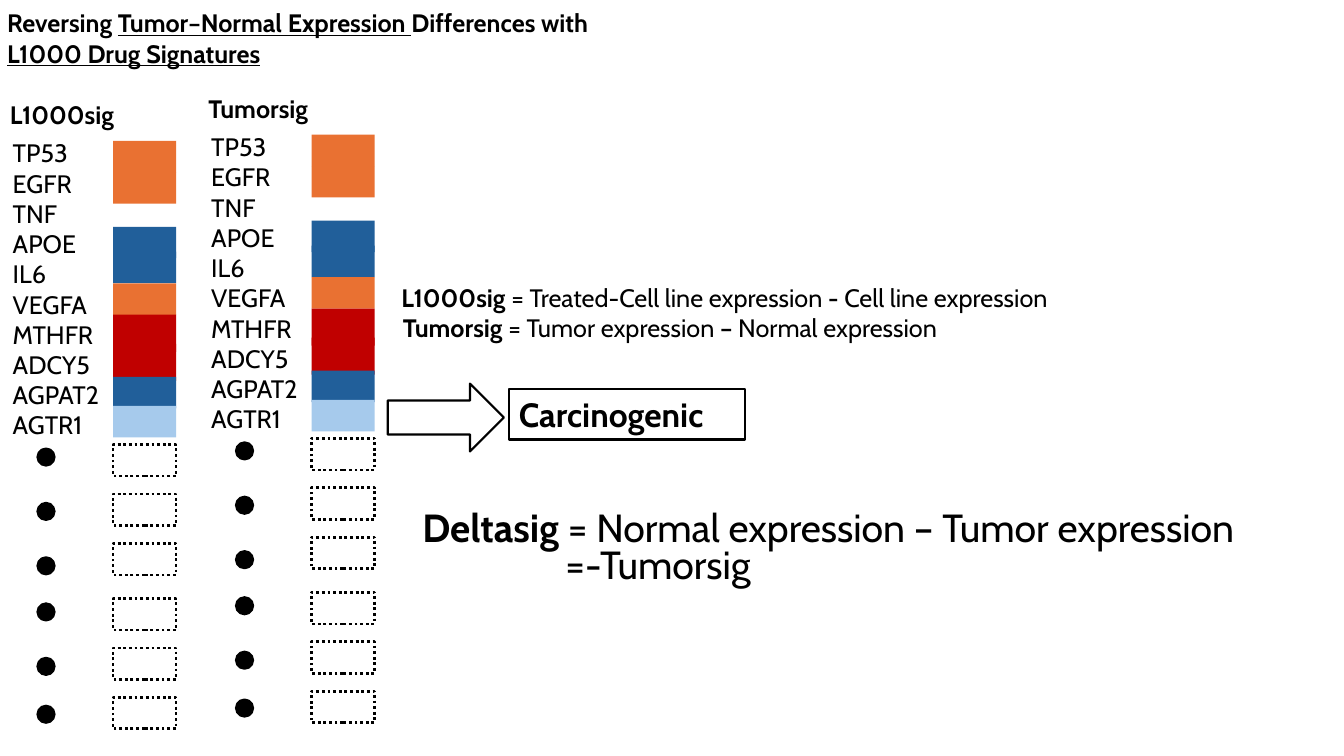
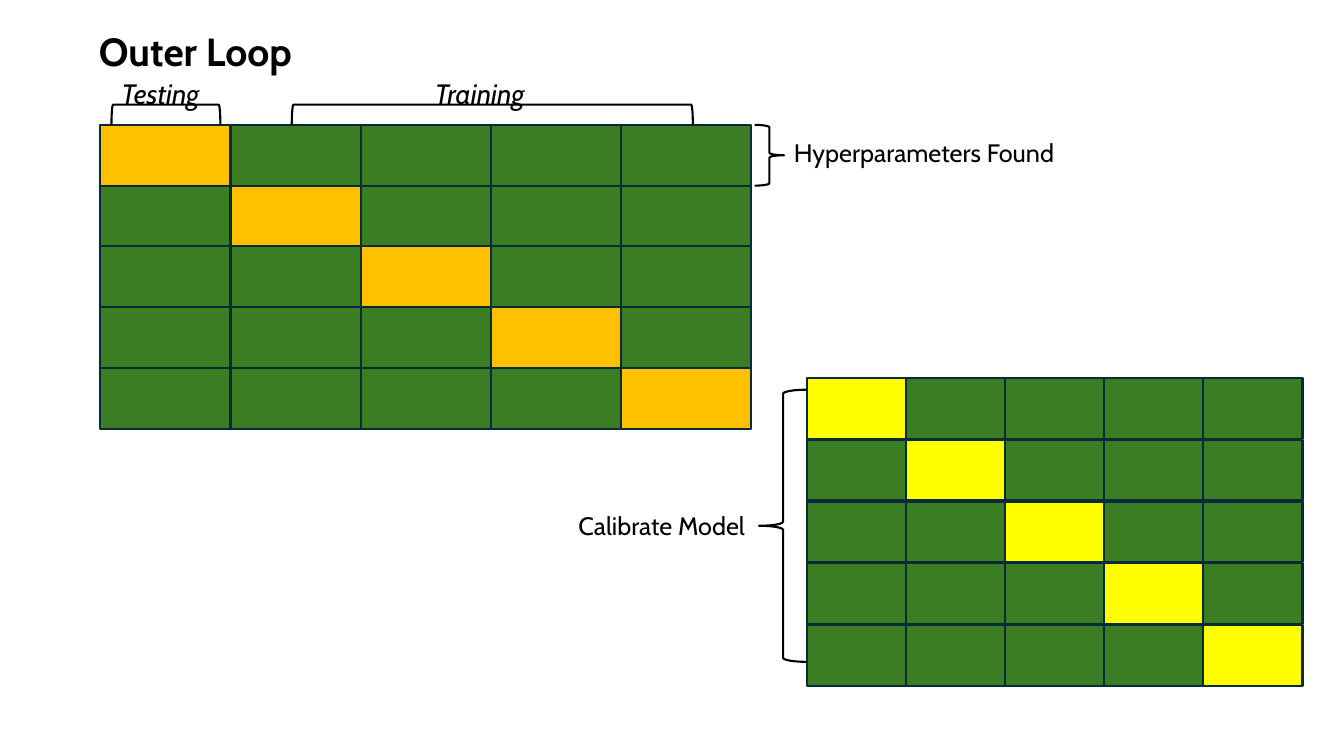
import pptx
import pptx.dml.color
import pptx.enum.dml
import pptx.enum.shapes
import pptx.enum.text
import pptx.util

Pt = pptx.util.Pt
SHAPE = pptx.enum.shapes.MSO_SHAPE
ALIGN = pptx.enum.text.PP_ALIGN
FONT = "Cabin"
COLORS = {
    "ink": "000000",
    "paper": "FFFFFF",
    "orange": "E97132",
    "blue": "215F9A",
    "red": "C00000",
    "sky": "A6CAEC",
    "gold": "FFC000",
    "yellow": "FFFF00",
    "green": "3B7D23",
    "navy": "092A39",
}
GENES = ["TP53", "EGFR", "TNF", "APOE", "IL6", "VEGFA", "MTHFR", "ADCY5", "AGPAT2", "AGTR1"]
SWATCHES = [
    (33, 22.5, "orange"),
    (55.4, 22.5, "orange"),
    (94.4, 22.5, "blue"),
    (112.2, 22.5, "blue"),
    (134.8, 22.5, "orange"),
    (157.2, 26.5, "red"),
    (178, 26.5, "red"),
    (201.6, 22.5, "blue"),
    (222.4, 22.5, "sky"),
]
DOT_TOPS = [252.8, 291.6, 330.5, 363.4, 402.3, 436.5]
BLANK_TOPS = [250, 285.3, 320.6, 360, 395.3, 430.6]


def color(name):
    """Return the named colour."""
    return pptx.dml.color.RGBColor.from_string(COLORS[name])


def write(frame, paragraphs, size, align=ALIGN.LEFT):
    """Fill a text frame with paragraphs of (text, style letters) runs."""
    frame.word_wrap = True
    for index, runs in enumerate(paragraphs):
        paragraph = frame.add_paragraph() if index else frame.paragraphs[0]
        paragraph.alignment = align
        for text, style in runs:
            run = paragraph.add_run()
            run.text = text
            font = run.font
            font.name, font.size = FONT, Pt(size)
            font.bold, font.italic, font.underline = (letter in style for letter in "biu")
            font.color.rgb = color("ink")


def add_text(slide, box, paragraphs, size=18, align=ALIGN.LEFT):
    """Place a text box."""
    textbox = slide.shapes.add_textbox(*map(Pt, box))
    write(textbox.text_frame, paragraphs, size, align)


def add_shape(slide, kind, box, fill=None, line=None, width=1.5):
    """Place a preset shape without shadow."""
    shape = slide.shapes.add_shape(kind, *map(Pt, box))
    shape.shadow.inherit = False
    if fill:
        shape.fill.solid()
        shape.fill.fore_color.rgb = color(fill)
    else:
        shape.fill.background()
    if line:
        shape.line.color.rgb = color(line)
        shape.line.width = Pt(width)
    else:
        shape.line.fill.background()
    return shape


def add_signature(slide, left, top, name):
    """Draw a gene signature column: heading, genes, swatches and continuation marks."""
    add_text(slide, (left, top, 480, 29), [[(name, "b")]])
    add_text(slide, (left + 2, top + 27.2, 115, 225), [[(gene, "")] for gene in GENES])
    for offset, height, fill in SWATCHES:
        add_shape(slide, SHAPE.RECTANGLE, (left + 80.8, top + offset, 45, height), fill)
    for offset in DOT_TOPS:
        add_shape(slide, SHAPE.OVAL, (left + 26.8, top + offset, 12.2, 12.2), "ink", "ink")
    for offset in BLANK_TOPS:
        blank = add_shape(slide, SHAPE.RECTANGLE, (left + 80.8, top + offset, 45, 22.5), "paper", "ink", 2)
        blank.line.dash_style = pptx.enum.dml.MSO_LINE.ROUND_DOT


def add_outcome(slide, left, top):
    """Draw the arrow and the outcome box it points at."""
    add_shape(slide, SHAPE.RIGHT_ARROW, (left, top, 83, 48.5), "paper", "ink")
    outcome = add_shape(slide, SHAPE.RECTANGLE, (left + 86.5, top + 3.8, 168.5, 36.2), "paper", "ink")
    write(outcome.text_frame, [[("Carcinogenic", "b")]], 24)


def add_formulas(slide, left, top):
    """Write the definitions of the signatures."""
    add_text(slide, (left, top, 515, 29), [[
        ("L1000sig", "b"), (" = Treated-Cell line expression ", ""),
        ("-", "b"), (" Cell line expression", "")]], align=ALIGN.CENTER)
    add_text(slide, (left + 14, top + 21.2, 409, 29), [[
        ("Tumorsig", "b"), (" = Tumor expression ", ""),
        ("–", "b"), (" Normal expression", "")]], align=ALIGN.CENTER)
    add_text(slide, (left + 22.5, top + 157.7, 618, 41), [[
        ("Deltasig", "b"), (" = Normal expression – Tumor expression", "")]], 28, ALIGN.CENTER)
    add_text(slide, (left - 99, top + 184.3, 618, 41), [[("=-Tumorsig", "")]], 28, ALIGN.CENTER)


def add_folds(slide, left, top, cell, pitch, held_out, count=5):
    """Draw a square grid of folds with the held-out fold on the diagonal."""
    for row in range(count):
        for column in range(count):
            box = (left + column * pitch[0], top + row * pitch[1], *cell)
            add_shape(slide, SHAPE.RECTANGLE, box, held_out if row == column else "green", "navy")


def add_top_bracket(slide, left, top, width, depth=14.4):
    """Draw a bracket that opens downward over the given span."""
    box = (left + (width - depth) / 2, top + (depth - width) / 2, depth, width)
    add_shape(slide, SHAPE.LEFT_BRACKET, box, line="ink").rotation = 90


def add_outer_loop(slide, left, top):
    """Draw the outer loop grid with its heading and labels."""
    add_folds(slide, left, top, (93, 43.4), (93, 43.4), "gold")
    add_top_bracket(slide, left + 136.8, top - 14.4, 286.5)
    add_text(slide, (left + 232, top - 38.2, 100, 31.5), [[("Training", "i")]], 20)
    add_top_bracket(slide, left + 8, top - 14.4, 77.8)
    add_text(slide, (left + 8, top - 38.2, 100, 31.5), [[("Testing", "i")]], 20)
    add_text(slide, (left - 8, top - 73.4, 357, 41), [[("Outer Loop", "b")]], 28)
    add_shape(slide, SHAPE.RIGHT_BRACE, (left + 467.5, top, 21, 43.4), line="ink")
    add_text(slide, (left + 488.4, top + 5.2, 204, 29), [[("Hyperparameters Found", "")]])


def add_calibration(slide, left, top):
    """Draw the calibration grid with its brace and label."""
    add_folds(slide, left, top, (70.8, 43.4), (70.8, 44.1), "yellow")
    add_shape(slide, SHAPE.LEFT_BRACE, (left - 34.3, top + 8.4, 34.5, 194.4), line="ink")
    add_text(slide, (left - 170.3, top + 91, 204, 29), [[("Calibrate Model", "")]])


def build_signature_slide(slide):
    """Build the slide on reversing expression differences."""
    add_signature(slide, 0, 67.6, "L1000sig")
    add_signature(slide, 141.8, 63.2, "Tumorsig")
    add_outcome(slide, 277, 274)
    add_text(slide, (-2, 2, 481.5, 51), [[
        ("Reversing ", "b"), ("Tumor–Normal Expression ", "bu"),
        ("Differences with ", "b"), ("L1000 Drug Signatures", "bu")]])
    add_formulas(slide, 260, 198)


def build_validation_slide(slide):
    """Build the slide on nested cross-validation."""
    add_outer_loop(slide, 71.6, 89.2)
    add_calibration(slide, 576.4, 270)


def main():
    """Build and save the presentation."""
    presentation = pptx.Presentation()
    presentation.slide_width, presentation.slide_height = Pt(960), Pt(540)
    for build in (build_signature_slide, build_validation_slide):
        build(presentation.slides.add_slide(presentation.slide_layouts[6]))
    presentation.save("out.pptx")


if __name__ == "__main__":
    main()
